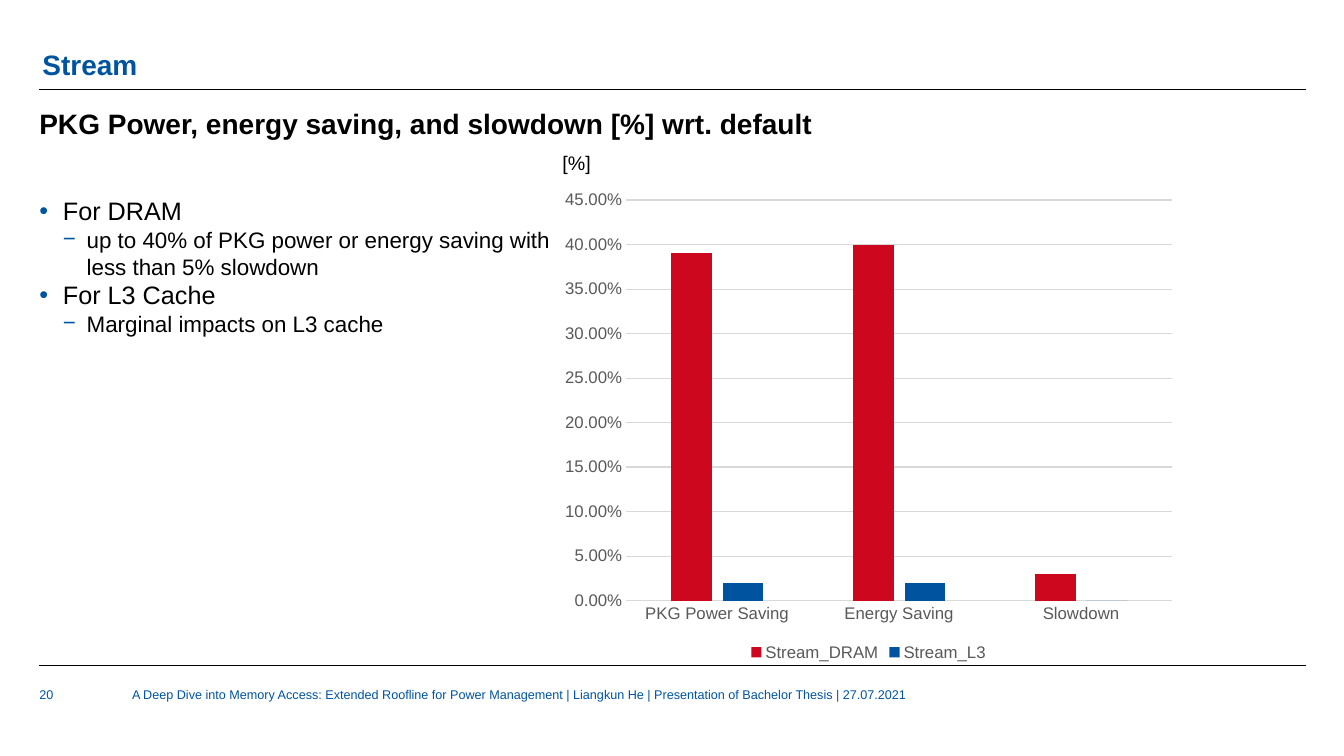
from lxml import etree
from pptx import Presentation
from pptx.chart.data import CategoryChartData
from pptx.dml.color import RGBColor
from pptx.enum import chart as charts, shapes, text
from pptx.oxml.ns import qn
from pptx.util import Inches, Pt

FONT = "Arial"
BLUE, RED, BLACK, GRAY, LIGHT_GRAY = "00549F", "CC071E", "000000", "595959", "D9D9D9"
LEFT, RIGHT = 0.39, 12.95


def color(hex_string):
    return RGBColor.from_string(hex_string)


def style_font(font, size, hex_string, bold=False):
    font.name = FONT
    font.size = Pt(size)
    font.bold = bold
    font.color.rgb = color(hex_string)


def add_text(slide, box, content, size, hex_string, bold=False, margins=(0, 0)):
    """Add a text box; margins are (horizontal, vertical) in inches."""
    shape = slide.shapes.add_textbox(*map(Inches, box))
    frame = shape.text_frame
    frame.word_wrap = True
    frame.margin_left = frame.margin_right = Inches(margins[0])
    frame.margin_top = frame.margin_bottom = Inches(margins[1])
    frame.text = content
    style_font(frame.paragraphs[0].runs[0].font, size, hex_string, bold)
    return frame


def add_rule(slide, top):
    line = slide.shapes.add_connector(
        shapes.MSO_CONNECTOR.STRAIGHT, Inches(LEFT), Inches(top), Inches(RIGHT), Inches(top))
    line.line.color.rgb = color(BLACK)
    line.line.width = Pt(0.5)
    etree.SubElement(line._element.spPr, qn("a:effectLst"))


def add_header(slide, box):
    left, top, width, height = box
    frame = add_text(slide, (left + 0.03, top, width, 0.59), "Stream", 20, BLUE, True)
    frame.vertical_anchor = text.MSO_ANCHOR.BOTTOM
    frame.paragraphs[0].line_spacing = 0.9
    add_rule(slide, top + 0.67)
    add_text(slide, (left, top + 0.84, width, height - 0.84),
             "PKG Power, energy saving, and slowdown [%] wrt. default", 20, BLACK, True)


def add_footer(slide, box):
    left, top, width, height = box
    add_rule(slide, top)
    add_text(slide, (left, top + 0.21, 0.8, height - 0.21), "20", 9, BLUE)
    add_text(slide, (left + 0.92, top + 0.21, 7.93, height - 0.21),
             "A Deep Dive into Memory Access: Extended Roofline for Power Management"
             " | Liangkun He | Presentation of Bachelor Thesis | 27.07.2021", 9, BLUE)


def set_bullet(paragraph, character):
    properties = paragraph._p.get_or_add_pPr()
    properties.set("marL", str(Inches(0.235 * (paragraph.level + 1))))
    properties.set("indent", str(Inches(-0.235)))
    bullet_color = etree.SubElement(properties, qn("a:buClr"))
    etree.SubElement(bullet_color, qn("a:srgbClr"), val=BLUE)
    etree.SubElement(properties, qn("a:buFont"), typeface=FONT)
    etree.SubElement(properties, qn("a:buChar"), char=character)


def add_findings(slide, box):
    findings = [
        (0, "For DRAM"),
        (1, "up to 40% of PKG power or energy saving with less than 5% slowdown"),
        (0, "For L3 Cache"),
        (1, "Marginal impacts on L3 cache"),
    ]
    frame = add_text(slide, box, "\n".join(content for _, content in findings), 18, BLACK)
    for paragraph, (level, _) in zip(frame.paragraphs, findings):
        paragraph.level = level
        style_font(paragraph.runs[0].font, (18, 16)[level], BLACK)
        set_bullet(paragraph, "•−"[level])


def add_savings_chart(slide, box):
    left, top, width, height = box
    data = CategoryChartData(number_format="0.00%")
    data.categories = ["PKG Power Saving", "Energy Saving", "Slowdown"]
    data.add_series("Stream_DRAM", [0.39, 0.4, 0.03])
    data.add_series("Stream_L3", [0.02, 0.02, 0])
    chart = slide.shapes.add_chart(
        charts.XL_CHART_TYPE.COLUMN_CLUSTERED,
        *map(Inches, (left, top + 0.35, width, height - 0.35)), data).chart
    style_font(chart.font, 12, GRAY)
    chart.has_title = False
    chart.has_legend = True
    chart.legend.position = charts.XL_LEGEND_POSITION.BOTTOM
    chart.legend.include_in_layout = False
    style_font(chart.legend.font, 12, GRAY)

    plot = chart.plots[0]
    plot.vary_by_categories = False
    plot.gap_width = 219
    plot.overlap = -27
    for series, fill in zip(plot.series, (RED, BLUE)):
        series.format.fill.solid()
        series.format.fill.fore_color.rgb = color(fill)

    category_axis, value_axis = chart.category_axis, chart.value_axis
    for axis in (category_axis, value_axis):
        axis.major_tick_mark = axis.minor_tick_mark = charts.XL_TICK_MARK.NONE
        style_font(axis.tick_labels.font, 12, GRAY)
    value_axis.minimum_scale = 0
    value_axis.maximum_scale = 0.45
    value_axis.major_unit = 0.05
    value_axis.tick_labels.number_format = "0.00%"
    value_axis.tick_labels.number_format_is_linked = False
    value_axis.format.line.fill.background()
    for line in (category_axis.format.line, value_axis.major_gridlines.format.line):
        line.color.rgb = color(LIGHT_GRAY)
        line.width = Pt(0.75)

    add_text(slide, (left, top, 2.54, 0.34), "[%]", 14, BLACK, margins=(0.1, 0.05))


def main():
    presentation = Presentation()
    presentation.slide_width = Inches(13.33)
    presentation.slide_height = Inches(7.5)
    slide = presentation.slides.add_slide(presentation.slide_layouts[6])
    add_header(slide, (LEFT, 0.22, RIGHT - LEFT, 1.1))
    add_findings(slide, (LEFT, 1.94, 5.1, 3.49))
    add_savings_chart(slide, (5.48, 1.45, 6.27, 5.15))
    add_footer(slide, (LEFT, 6.6, RIGHT - LEFT, 0.64))
    presentation.save("out.pptx")


if __name__ == "__main__":
    main()
